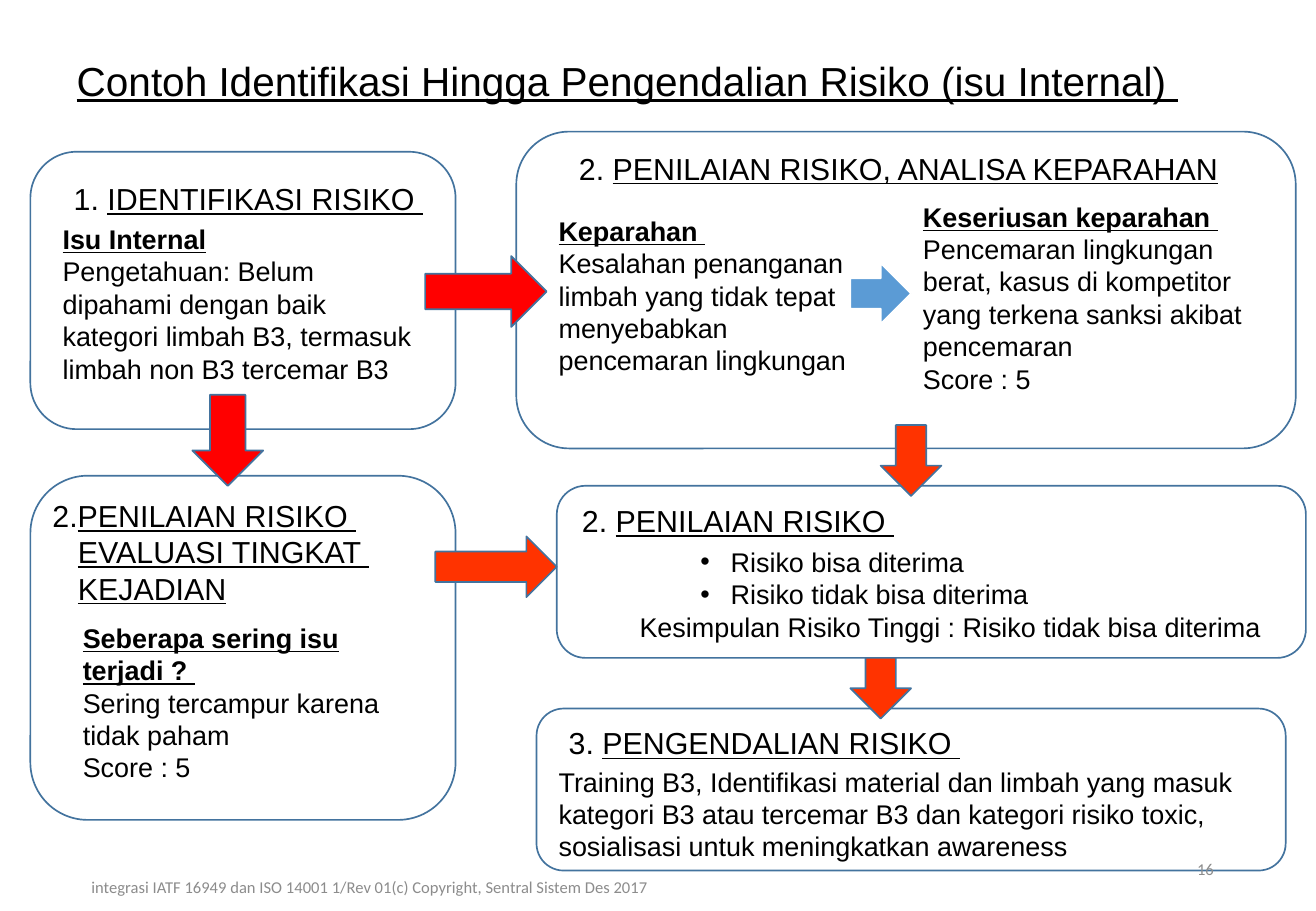
from dataclasses import dataclass

from lxml import etree
from pptx import Presentation
from pptx.dml.color import RGBColor
from pptx.enum.shapes import MSO_SHAPE
from pptx.enum.text import MSO_ANCHOR, MSO_AUTO_SIZE, PP_ALIGN
from pptx.oxml.ns import qn
from pptx.util import Inches, Pt

ROUND = MSO_SHAPE.ROUNDED_RECTANGLE
RIGHT = MSO_SHAPE.RIGHT_ARROW
DOWN = MSO_SHAPE.DOWN_ARROW
LEFT_AL, MID_AL, RIGHT_AL = PP_ALIGN.LEFT, PP_ALIGN.CENTER, PP_ALIGN.RIGHT
TOP, MIDDLE = MSO_ANCHOR.TOP, MSO_ANCHOR.MIDDLE
GROW = MSO_AUTO_SIZE.SHAPE_TO_FIT_TEXT

COLS, ROWS = 130, 90
WIDE, HIGH = Inches(10.83), Inches(7.5)
HEX = {"edge": "43739E", "red": "FF0000", "orange": "FF3300", "blue": "5B9BD5",
       "white": "FFFFFF", "black": "000000", "gray": "8C8C8C"}


@dataclass
class Area:
    """Left, top, width and height in grid columns and rows."""
    col: float
    row: float
    cols: float
    rows: float

    def size(self) -> tuple[int, int, int, int]:
        return (int(self.col * WIDE / COLS), int(self.row * HIGH / ROWS),
                int(self.cols * WIDE / COLS), int(self.rows * HIGH / ROWS))


@dataclass
class Form:
    area: Area
    kind: int = ROUND
    fill: str = ""
    line: str = "edge"


@dataclass
class Words:
    text: str
    bold: bool = False
    under: bool = False


@dataclass
class Para:
    words: list[Words]
    left: float = 0
    hang: float = 0
    dot: bool = False


@dataclass
class Block:
    area: Area
    paras: list[Para]
    size: float = 16
    font: str = "Arial"
    color: str = "black"
    wrap: bool = True
    grow: bool = True
    align: int = LEFT_AL
    anchor: int = TOP


def rgb(name: str) -> RGBColor:
    return RGBColor.from_string(HEX[name])


def plain(text: str) -> Para:
    return Para([Words(text)])


def lead(text: str) -> Para:
    return Para([Words(text, bold=True, under=True)])


def bullet(text: str) -> Para:
    return Para([Words(text)], 0.75, 0.25, True)


def head(area: Area, mark: str, text: str, *more: str) -> Block:
    """A numbered heading whose further lines align under the first word."""
    first = Para([Words(mark), Words(text, under=True)])
    rest = [Para([Words(line, under=True)], 0.21) for line in more]
    return Block(area, [first, *rest], 18, wrap=False)


def note(area: Area, text: str, align: int) -> Block:
    return Block(area, [plain(text)], 9.8, "Calibri", "gray", grow=False,
                 align=align, anchor=MIDDLE)


def draw(slide, form: Form) -> None:
    shape = slide.shapes.add_shape(form.kind, *form.area.size())
    shape.shadow.inherit = False
    if form.fill:
        shape.fill.solid()
        shape.fill.fore_color.rgb = rgb(form.fill)
    else:
        shape.fill.background()
    shape.line.color.rgb = rgb(form.line)
    shape.line.width = Pt(1)


def write(slide, block: Block) -> None:
    frame = slide.shapes.add_textbox(*block.area.size()).text_frame
    frame.word_wrap = block.wrap
    frame.vertical_anchor = block.anchor
    if block.grow:
        frame.auto_size = GROW
    for i, para in enumerate(block.paras):
        line = frame.add_paragraph() if i else frame.paragraphs[0]
        line.alignment = block.align
        props = line._p.get_or_add_pPr()
        if para.left:
            props.set("marL", str(Inches(para.left)))
            props.set("indent", str(-Inches(para.hang)))
        if para.dot:
            etree.SubElement(props, qn("a:buFont")).set("typeface", "Arial")
            etree.SubElement(props, qn("a:buChar")).set("char", "•")
        for words in para.words:
            run = line.add_run()
            run.text = words.text
            run.font.name = block.font
            run.font.size = Pt(block.size)
            run.font.bold = words.bold
            run.font.underline = words.under
            run.font.color.rgb = rgb(block.color)


FORMS = [
    Form(Area(55, 48, 74, 17)),
    Form(Area(53, 70, 74, 16)),
    Form(Area(3, 47, 42, 34)),
    Form(Area(51, 13, 77, 31.3)),
    Form(Area(3, 15, 42, 27.4)),
    Form(Area(42, 25.3, 12, 7), RIGHT, "red"),
    Form(Area(87, 42, 6, 7), DOWN, "orange"),
    Form(Area(19, 39, 7, 9), DOWN, "red"),
    Form(Area(84, 26, 6, 6), RIGHT, "blue", "white"),
    Form(Area(43, 53, 12, 6), RIGHT, "orange"),
    Form(Area(84, 65, 6, 6), DOWN, "orange"),
]

BLOCKS = [
    Block(Area(6.4, 4.9, 113.6, 6), [Para([Words(
        "Contoh Identifikasi Hingga Pengendalian Risiko (isu Internal) ",
        under=True)])], 24, wrap=False),
    head(Area(6.1, 17.2, 38.4, 4.8), "1. ", "IDENTIFIKASI RISIKO "),
    Block(Area(5, 21.4, 37, 20.6), [
        lead("Isu Internal"),
        plain("Pengetahuan: Belum dipahami dengan baik kategori limbah B3, "
              "termasuk limbah non B3 tercemar B3")]),
    head(Area(56, 14.2, 66.1, 4.8), "2. ", "PENILAIAN RISIKO, ANALISA KEPARAHAN"),
    Block(Area(54, 20.6, 33, 17.4), [
        lead("Keparahan "),
        plain("Kesalahan penanganan limbah yang tidak tepat menyebabkan "
              "pencemaran lingkungan")]),
    Block(Area(90, 19.2, 36, 20.6), [
        lead("Keseriusan keparahan "),
        plain("Pencemaran lingkungan berat, kasus di kompetitor yang terkena "
              "sanksi akibat pencemaran"),
        plain("Score : 5")]),
    head(Area(4, 48.5, 34.8, 12.1), "2.", "PENILAIAN RISIKO ",
         "EVALUASI TINGKAT ", "KEJADIAN"),
    Block(Area(7, 60.8, 33, 17.4), [
        lead("Seberapa sering isu terjadi ? "),
        plain("Sering tercampur karena tidak paham"),
        plain("Score : 5")]),
    head(Area(56.3, 49, 34.7, 4.8), "2. ", "PENILAIAN RISIKO "),
    Block(Area(62, 53.3, 68, 10.9), [
        bullet("Risiko bisa diterima"),
        bullet("Risiko tidak bisa diterima"),
        plain("Kesimpulan Risiko Tinggi : Risiko tidak bisa diterima")]),
    head(Area(55, 71, 42.6, 4.8), "3. ", "PENGENDALIAN RISIKO "),
    Block(Area(54, 75, 73, 10.9), [
        plain("Training B3, Identifikasi material dan limbah yang masuk "
              "kategori B3 atau tercemar B3 dan kategori risiko toxic, "
              "sosialisasi untuk meningkatkan awareness")]),
    note(Area(91.8, 83.4, 29.3, 4.8), "16", RIGHT_AL),
    note(Area(5, 85.2, 63, 4.8), "integrasi IATF 16949 dan ISO 14001 1/Rev 01(c) "
         "Copyright, Sentral Sistem Des 2017", MID_AL),
]


def main() -> None:
    deck = Presentation()
    deck.slide_width, deck.slide_height = WIDE, HIGH
    slide = deck.slides.add_slide(deck.slide_layouts[6])
    for form in FORMS:
        draw(slide, form)
    for block in BLOCKS:
        write(slide, block)
    deck.save("out.pptx")


if __name__ == "__main__":
    main()
